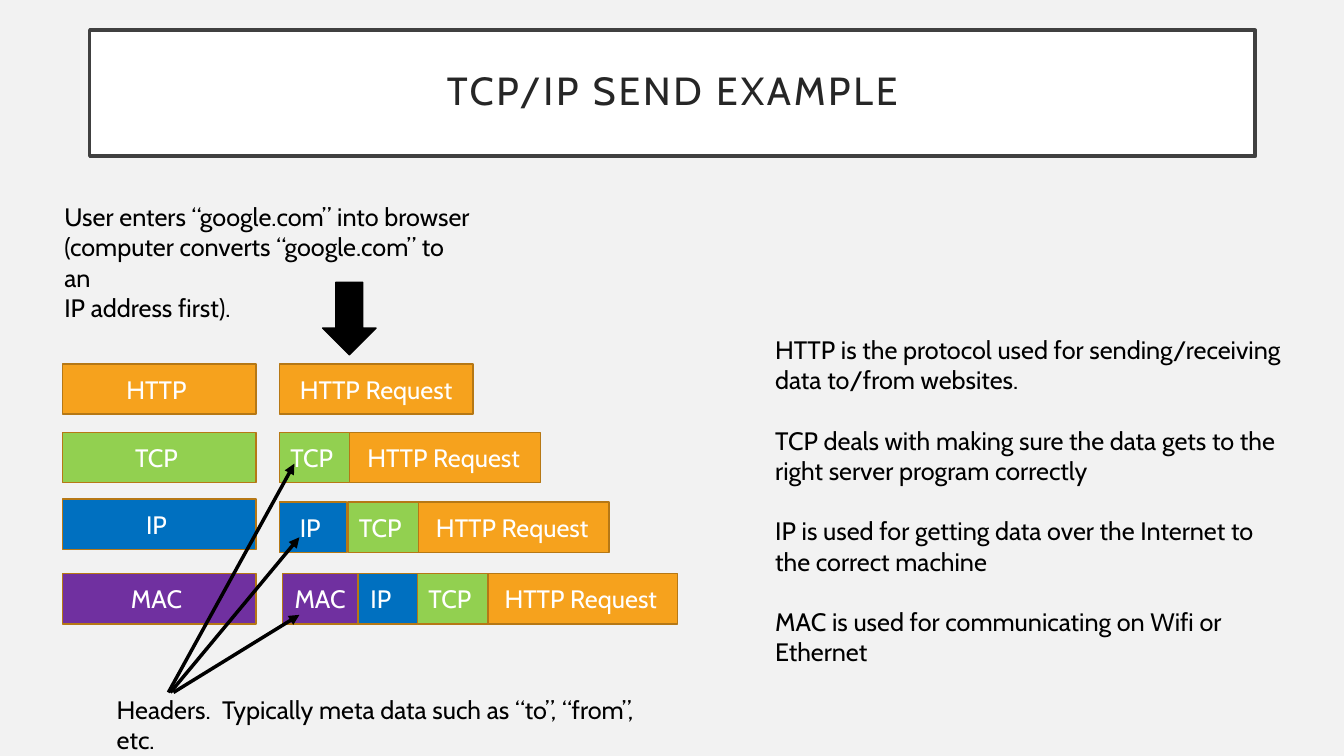
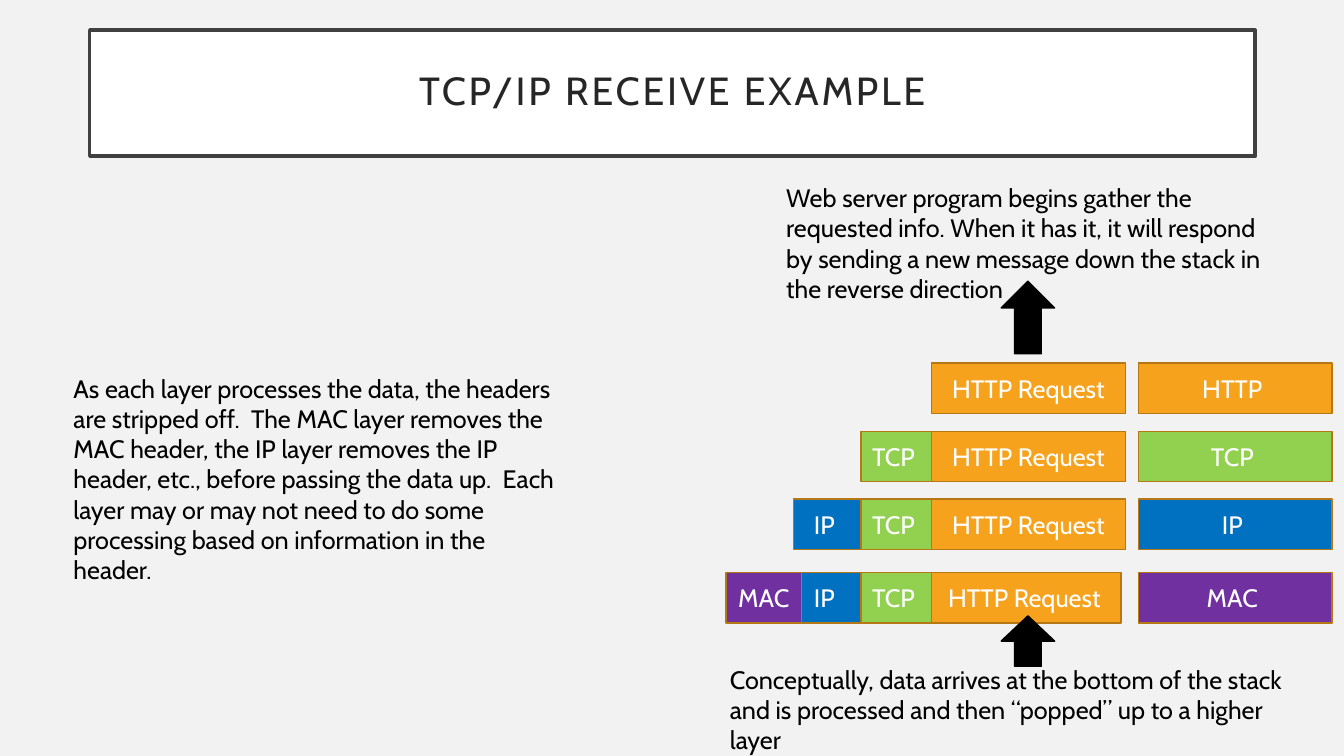
from dataclasses import dataclass

from lxml.etree import SubElement
from pptx import Presentation
from pptx.dml.color import RGBColor
from pptx.enum.shapes import MSO_CONNECTOR, MSO_SHAPE
from pptx.enum.text import MSO_ANCHOR, MSO_AUTO_SIZE, PP_ALIGN
from pptx.oxml.ns import qn
from pptx.presentation import Presentation as Deck
from pptx.shapes.autoshape import Shape
from pptx.slide import Slide
from pptx.text.text import TextFrame
from pptx.util import Inches, Pt


@dataclass(frozen=True)
class Theme:
    """Colours, font and type sizes of the deck."""
    font: str = "Cabin"
    back: str = "F2F2F2"
    white: str = "FFFFFF"
    black: str = "000000"
    ink: str = "262626"
    frame: str = "404040"
    edge: str = "B67815"
    head: float = 28
    text: float = 18
    gap: float = 21.5
    thin: float = 1
    thick: float = 2.5


@dataclass(frozen=True)
class Layer:
    """One protocol layer, its colour and its piece of a packet."""
    name: str
    fill: str
    label: str
    width: float


@dataclass(frozen=True)
class Row:
    """A label and packet row; lefts run from HTTP down to MAC."""
    top: float
    lefts: tuple[float, ...]
    drop: float = 0


@dataclass(frozen=True)
class Note:
    """A text box with its paragraphs."""
    left: float
    top: float
    width: float
    height: float
    lines: tuple[str, ...]
    gap: float = 0


@dataclass(frozen=True)
class Arrow:
    """A block arrow between the text and the stack."""
    left: float
    top: float
    height: float
    turn: float = 0


@dataclass(frozen=True)
class Page:
    """All that one slide shows."""
    title: str
    side: float
    rows: tuple[Row, ...]
    notes: tuple[Note, ...]
    blocks: tuple[Arrow, ...]
    rays: tuple[tuple[float, float, float, float], ...] = ()


THEME = Theme()
WIDE, HIGH = 1.92, 0.5
LAYERS = (
    Layer("HTTP ", "F6A21D", "HTTP Request", WIDE),
    Layer("TCP ", "92D050", "TCP ", 0.7),
    Layer("IP ", "0070C0", "IP ", 0.67),
    Layer("MAC ", "7030A0", "MAC ", 0.75),
)

SEND = Page(
    "TCP/IP SEND EXAMPLE",
    0.62,
    (
        Row(3.61, (2.77,)),
        Row(4.29, (3.44, 2.77)),
        Row(4.95, (4.12, 3.45, 2.77), 0.03),
        Row(5.69, (4.8, 4.14, 3.47, 2.8)),
    ),
    (
        Note(0.54, 1.95, 4.26, 1.01, (
            "User enters “google.com” into browser",
            "(computer converts “google.com” to an",
            "IP address first).",
        )),
        Note(7.59, 3.27, 5.22, 3.43, (
            "HTTP is the protocol used for sending/receiving data to/from websites.",
            "TCP deals with making sure the data gets to the right server program correctly",
            "IP is used for getting data over the Internet to the correct machine",
            "MAC is used for communicating on Wifi or Ethernet",
        ), THEME.gap),
        Note(1.06, 6.84, 5.66, 0.4, (
            "Headers.  Typically meta data such as “to”, “from”, etc.",
        )),
    ),
    (Arrow(3.2, 2.8, 0.72),),
    (
        (1.67, 6.87, 2.92, 4.6),
        (1.69, 6.87, 2.97, 5.33),
        (1.72, 6.87, 2.97, 6.1),
    ),
)

RECEIVE = Page(
    "TCP/IP RECEIVE EXAMPLE",
    11.29,
    (
        Row(3.6, (9.24,)),
        Row(4.28, (9.24, 8.54)),
        Row(4.95, (9.24, 8.54, 7.87)),
        Row(5.68, (9.2, 8.54, 7.87, 7.2)),
    ),
    (
        Note(7.7, 1.76, 5.06, 1.31, (
            "Web server program begins gather the requested info. When it has it, "
            "it will respond by sending a new message down the stack in the reverse direction",
        )),
        Note(0.63, 3.65, 5.11, 1.92, (
            "As each layer processes the data, the headers are stripped off.  "
            "The MAC layer removes the MAC header, the IP layer removes the IP header, "
            "etc., before passing the data up.  Each layer may or may not need to do "
            "some processing based on information in the header.",
        )),
        Note(7.14, 6.54, 5.99, 0.71, (
            "Conceptually, data arrives at the bottom of the stack",
            "and is processed and then “popped” up to a higher layer",
        )),
    ),
    (Arrow(9.93, 2.79, 0.72, 180), Arrow(9.93, 6.11, 0.5, 180)),
)


def tint(code: str) -> RGBColor:
    """Turn a hex code into a colour."""
    return RGBColor.from_string(code)


def paint(shape: Shape, fill: str, edge: str, width: float) -> None:
    """Set the fill and line of a shape and drop its shadow."""
    shape.shadow.inherit = False
    shape.fill.solid()
    shape.fill.fore_color.rgb = tint(fill)
    shape.line.color.rgb = tint(edge)
    shape.line.width = Pt(width)


def write(frame: TextFrame, lines: tuple[str, ...], color: str,
          size: float = THEME.text, align: PP_ALIGN = PP_ALIGN.LEFT,
          gap: float = 0, track: int = 0) -> None:
    """Write each line as a paragraph with one run."""
    frame.word_wrap = True
    frame.auto_size = MSO_AUTO_SIZE.NONE
    for i, line in enumerate(lines):
        para = frame.add_paragraph() if i else frame.paragraphs[0]
        para.alignment = align
        if i and gap:
            para.space_before = Pt(gap)
        run = para.add_run()
        run.text = line
        run.font.name = THEME.font
        run.font.size = Pt(size)
        run.font.color.rgb = tint(color)
        if track:
            run._r.get_or_add_rPr().set("spc", str(track))


def add_title(slide: Slide, text: str) -> None:
    """Frame and fill the title placeholder."""
    title = slide.shapes.title
    title.left, title.top = Inches(0.89), Inches(0.3)
    title.width, title.height = Inches(11.56), Inches(1.25)
    paint(title, THEME.white, THEME.frame, THEME.thick)
    frame = title.text_frame
    frame.vertical_anchor = MSO_ANCHOR.MIDDLE
    frame.margin_left = frame.margin_right = Inches(0.2)
    frame.margin_top = frame.margin_bottom = Inches(0.2)
    write(frame, (text,), THEME.ink, THEME.head, PP_ALIGN.CENTER, track=200)
    frame.paragraphs[0].line_spacing = 0.9


def add_box(slide: Slide, left: float, top: float, width: float,
            text: str, fill: str) -> None:
    """Draw one labelled block of the stack."""
    box = slide.shapes.add_shape(MSO_SHAPE.RECTANGLE, Inches(left), Inches(top),
                                 Inches(width), Inches(HIGH))
    paint(box, fill, THEME.edge, THEME.thin)
    box.text_frame.vertical_anchor = MSO_ANCHOR.MIDDLE
    write(box.text_frame, (text,), THEME.white, align=PP_ALIGN.CENTER)


def add_row(slide: Slide, side: float, layer: Layer, row: Row) -> None:
    """Draw a layer label and the packet beside it."""
    add_box(slide, side, row.top, WIDE, layer.name, layer.fill)
    for piece, left in zip(LAYERS, row.lefts):
        add_box(slide, left, row.top + row.drop, piece.width, piece.label, piece.fill)


def add_note(slide: Slide, note: Note) -> None:
    """Draw a text box."""
    box = slide.shapes.add_textbox(Inches(note.left), Inches(note.top),
                                   Inches(note.width), Inches(note.height))
    write(box.text_frame, note.lines, THEME.black, gap=note.gap)


def add_block(slide: Slide, arrow: Arrow) -> None:
    """Draw a block arrow."""
    block = slide.shapes.add_shape(MSO_SHAPE.DOWN_ARROW, Inches(arrow.left),
                                   Inches(arrow.top), Inches(0.53),
                                   Inches(arrow.height))
    block.rotation = arrow.turn
    paint(block, THEME.black, THEME.black, THEME.thin)


def add_ray(slide: Slide, ends: tuple[float, float, float, float]) -> None:
    """Draw a thin arrow that points at a header."""
    ray = slide.shapes.add_connector(MSO_CONNECTOR.STRAIGHT,
                                     *(Inches(n) for n in ends))
    ray.line.color.rgb = tint(THEME.black)
    ray.line.width = Pt(THEME.thick)
    SubElement(ray.line._get_or_add_ln(), qn("a:tailEnd"), type="triangle")
    SubElement(ray._element.spPr, qn("a:effectLst"))


def add_page(deck: Deck, page: Page) -> None:
    """Build one slide."""
    slide = deck.slides.add_slide(deck.slide_layouts[5])
    add_title(slide, page.title)
    for layer, row in zip(LAYERS, page.rows):
        add_row(slide, page.side, layer, row)
    for note in page.notes:
        add_note(slide, note)
    for arrow in page.blocks:
        add_block(slide, arrow)
    for ends in page.rays:
        add_ray(slide, ends)


def main() -> None:
    """Build and save the deck."""
    deck = Presentation()
    deck.slide_width, deck.slide_height = Inches(13.33), Inches(7.5)
    fill = deck.slide_master.background.fill
    fill.solid()
    fill.fore_color.rgb = tint(THEME.back)
    for page in (SEND, RECEIVE):
        add_page(deck, page)
    deck.save("out.pptx")


if __name__ == "__main__":
    main()
